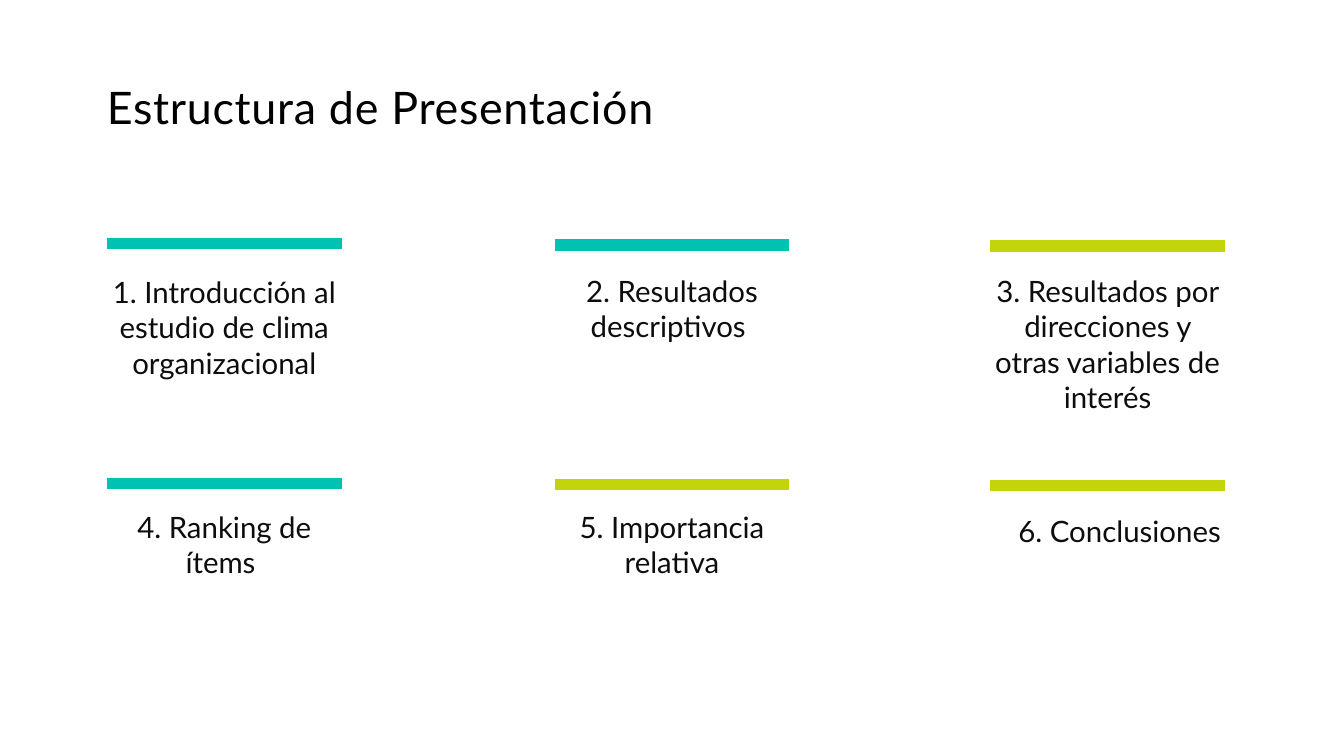
from dataclasses import dataclass

from lxml import etree
from pptx import Presentation
from pptx.dml.color import RGBColor
from pptx.enum.shapes import MSO_CONNECTOR
from pptx.enum.text import MSO_ANCHOR, MSO_AUTO_SIZE, PP_ALIGN
from pptx.oxml.ns import qn
from pptx.slide import Slide
from pptx.text.text import TextFrame
from pptx.util import Emu, Pt

STRAIGHT = MSO_CONNECTOR.STRAIGHT
TOP, BOTTOM = MSO_ANCHOR.TOP, MSO_ANCHOR.BOTTOM
LEFT, CENTER = PP_ALIGN.LEFT, PP_ALIGN.CENTER
NO_AUTOFIT = MSO_AUTO_SIZE.NONE

BLACK = RGBColor(0x00, 0x00, 0x00)
INK = RGBColor(0x0D, 0x0D, 0x0D)
TEAL = RGBColor(0x00, 0xC2, 0xB2)
LIME = RGBColor(0xC4, 0xD4, 0x0A)

FONT = "Lato"
EMU_PER_PX = 9144
TITLE_ONLY = 5
COLUMN_LEFTS = (106, 550, 982)
ROW_TOPS = (242, 480)
COLUMN_STEP = 1
ITEM_WIDTH = 233


@dataclass(frozen=True)
class Section:
    text: str
    color: RGBColor
    text_top: int
    text_height: int = 67
    text_shift: int = 0


SECTIONS = (
    Section("1. Introducción al estudio de clima organizacional", TEAL, 272, 133),
    Section("2. Resultados descriptivos ", TEAL, 271),
    Section("3. Resultados por direcciones y otras variables de interés", LIME, 271),
    Section("4. Ranking de ítems ", TEAL, 505),
    Section("5. Importancia relativa", LIME, 505, 106),
    Section("6. Conclusiones", LIME, 509, text_shift=12),
)


def px(length: int) -> Emu:
    return Emu(length * EMU_PER_PX)


def write_text(frame: TextFrame, text: str, size: int, color: RGBColor,
               align: PP_ALIGN, anchor: MSO_ANCHOR) -> None:
    frame.margin_left = frame.margin_right = 0
    frame.margin_top = frame.margin_bottom = 0
    frame.word_wrap = True
    frame.auto_size = NO_AUTOFIT
    frame.vertical_anchor = anchor
    para = frame.paragraphs[0]
    para.alignment = align
    span = para.add_run()
    span.text = text
    span.font.name = FONT
    span.font.size = Pt(size)
    span.font.color.rgb = color


def draw_title(page: Slide, text: str) -> None:
    title = page.shapes.title
    title.left, title.top = px(106), px(66)
    title.width, title.height = px(908), px(67)
    write_text(title.text_frame, text, 32, BLACK, LEFT, BOTTOM)
    para = title.text_frame.paragraphs[0]
    para.line_spacing = 0.9
    para.runs[0].font._element.set("spc", "50")


def draw_section(page: Slide, section: Section, row: int, column: int) -> None:
    left = COLUMN_LEFTS[column]
    bar_top = ROW_TOPS[row] + column * COLUMN_STEP
    bar = page.shapes.add_connector(
        STRAIGHT, px(left), px(bar_top), px(left + ITEM_WIDTH), px(bar_top))
    bar.line.color.rgb = section.color
    bar.line.width = Pt(8)
    etree.SubElement(bar._element.spPr, qn("a:effectLst"))

    box = page.shapes.add_textbox(
        px(left + section.text_shift), px(section.text_top),
        px(ITEM_WIDTH), px(section.text_height))
    write_text(box.text_frame, section.text, 21, INK, CENTER, TOP)


def main() -> None:
    deck = Presentation()
    deck.slide_width, deck.slide_height = px(1333), px(750)
    page = deck.slides.add_slide(deck.slide_layouts[TITLE_ONLY])
    draw_title(page, "Estructura de Presentación")
    for index, section in enumerate(SECTIONS):
        row, column = divmod(index, len(COLUMN_LEFTS))
        draw_section(page, section, row, column)
    deck.save("out.pptx")


if __name__ == "__main__":
    main()
